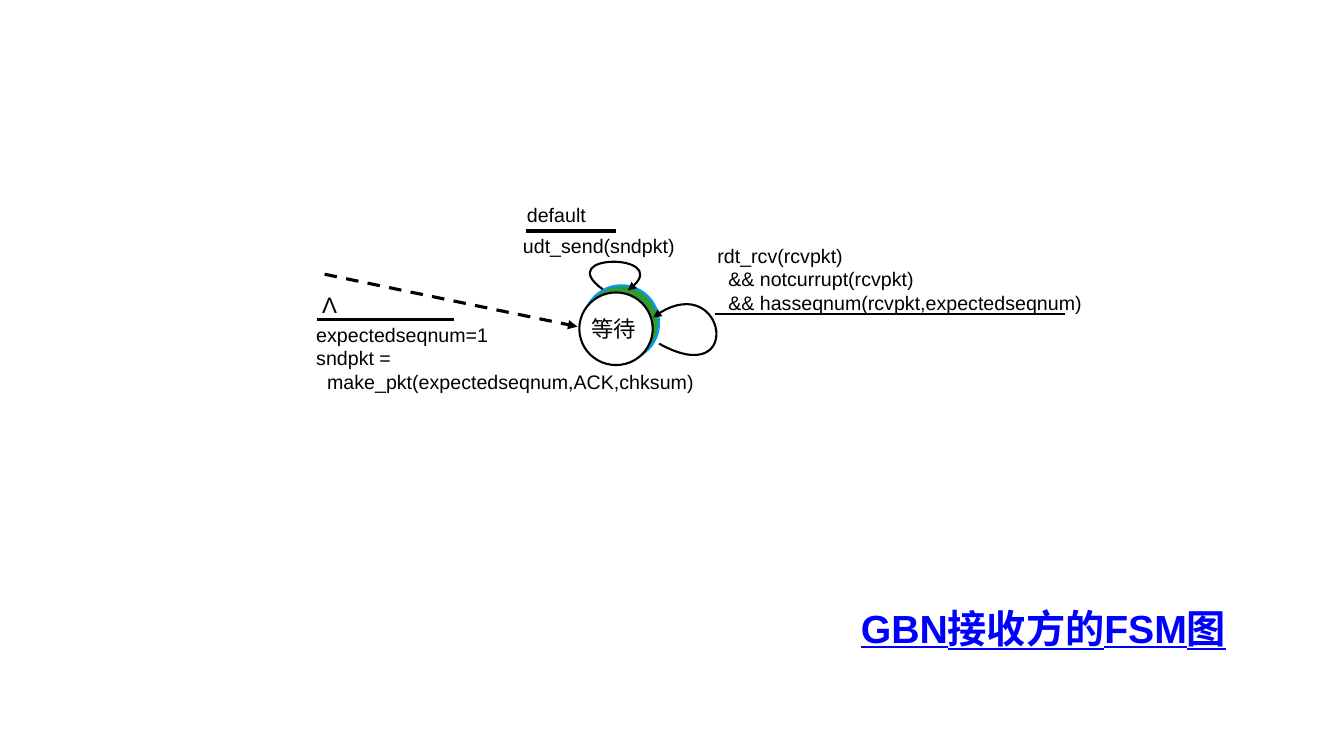
from dataclasses import dataclass

import pptx
import pptx.dml.color
import pptx.enum.dml
import pptx.enum.shapes
import pptx.enum.text
import pptx.oxml
import pptx.oxml.ns
import pptx.util
from pptx.util import Cm

COLORS = {"ink": "000000", "paper": "FFFFFF", "state_back": "339933",
          "state_rim": "0099FF", "title": "0000FF"}
FONT = "Arial"
LEFT = pptx.enum.text.PP_ALIGN.LEFT
CENTER = pptx.enum.text.PP_ALIGN.CENTER


@dataclass
class State:
    left: float
    top: float
    width: float
    height: float
    fill: str
    rim: str


@dataclass
class Label:
    left: float
    top: float
    width: float
    height: float
    lines: list[str]
    size: float = 14
    align: int = LEFT


@dataclass
class Rule:
    start: tuple[float, float]
    end: tuple[float, float]
    weight: float = 2.25
    arrow: bool = False


@dataclass
class Loop:
    """A self-transition: start, two control points and end of a curve."""
    points: list[tuple[float, float]]


# Lengths in centimetres
STATES = [
    State(14.71, 7.19, 1.9, 1.9, "state_back", "state_rim"),
    State(14.6, 7.37, 1.85, 1.83, "paper", "ink"),
]
RULES = [
    Rule((8.18, 6.91), (14.55, 8.23), arrow=True),
    Rule((13.26, 5.82), (15.52, 5.82)),
    Rule((18.03, 7.92), (26.85, 7.92), weight=1.5),
    Rule((8, 8.05), (11.43, 8.05)),
]
LOOPS = [
    Loop([(16.61, 8.66), (18.77, 9.86), (18.26, 6.65), (16.46, 8)]),
    Loop([(15.19, 7.29), (13.92, 6.38), (17.12, 6.38), (15.82, 7.32)]),
]
LABELS = [
    Label(14.35, 7.82, 2.24, 0.66, ["等待"], 16, CENTER),
    Label(12.93, 5.77, 4.5, 0.86, ["udt_send(sndpkt)"]),
    Label(13.03, 5, 2.2, 0.69, ["default"]),
    Label(17.83, 6.02, 9.91, 1.57, ["rdt_rcv(rcvpkt)", "  && notcurrupt(rcvpkt)",
                                    "  && hasseqnum(rcvpkt,expectedseqnum)"]),
    Label(7.72, 8, 10.11, 2.72, ["expectedseqnum=1", "sndpkt =",
                                 "  make_pkt(expectedseqnum,ACK,chksum)"]),
    Label(7.85, 7.21, 0.91, 0.94, ["Λ"], 16, CENTER),
]


def rgb(name: str) -> pptx.dml.color.RGBColor:
    return pptx.dml.color.RGBColor.from_string(COLORS[name])


def style_line(line, color: str, weight: float, arrow: bool = False) -> None:
    line.color.rgb = rgb(color)
    line.width = pptx.util.Pt(weight)
    if arrow:
        head = pptx.oxml.parse_xml(
            f'<a:tailEnd {pptx.oxml.ns.nsdecls("a")} type="triangle"/>')
        line._get_or_add_ln().append(head)


def add_text(paragraph, text: str, size: float, color: str, align: int) -> None:
    paragraph.alignment = align
    run = paragraph.add_run()
    run.text = text
    run.font.name = FONT
    run.font.size = pptx.util.Pt(size)
    run.font.color.rgb = rgb(color)


def draw_state(slide, state: State) -> None:
    circle = slide.shapes.add_shape(
        pptx.enum.shapes.MSO_SHAPE.OVAL, Cm(state.left), Cm(state.top),
        Cm(state.width), Cm(state.height))
    circle.shadow.inherit = False
    circle.fill.solid()
    circle.fill.fore_color.rgb = rgb(state.fill)
    style_line(circle.line, state.rim, 1.5)


def draw_rule(slide, rule: Rule) -> None:
    (x1, y1), (x2, y2) = rule.start, rule.end
    connector = slide.shapes.add_connector(
        pptx.enum.shapes.MSO_CONNECTOR.STRAIGHT, Cm(x1), Cm(y1), Cm(x2), Cm(y2))
    if rule.arrow:
        connector.line.dash_style = pptx.enum.dml.MSO_LINE.DASH
    style_line(connector.line, "ink", rule.weight, rule.arrow)
    connector._element.spPr.append(pptx.oxml.parse_xml(
        f'<a:effectLst {pptx.oxml.ns.nsdecls("a")}/>'))


def draw_loop(slide, loop: Loop) -> None:
    start, *rest = [(Cm(x), Cm(y)) for x, y in loop.points]
    builder = slide.shapes.build_freeform(*start)
    builder.add_line_segments(rest, close=False)
    curve = builder.convert_to_shape()
    curve.shadow.inherit = False
    curve.fill.background()
    style_line(curve.line, "ink", 1.5, arrow=True)
    # Turn the three segments into one cubic curve
    segments = curve._element.xpath(".//a:lnTo")
    bezier = pptx.oxml.parse_xml(
        f'<a:cubicBezTo {pptx.oxml.ns.nsdecls("a")}/>')
    segments[0].addprevious(bezier)
    for segment in segments:
        bezier.append(segment[0])
        segment.getparent().remove(segment)


def draw_label(slide, label: Label) -> None:
    frame = slide.shapes.add_textbox(
        Cm(label.left), Cm(label.top), Cm(label.width), Cm(label.height)).text_frame
    frame.word_wrap = True
    for index, line in enumerate(label.lines):
        paragraph = frame.add_paragraph() if index else frame.paragraphs[0]
        if len(label.lines) > 1:
            paragraph.line_spacing = pptx.util.Pt(16.8)
        add_text(paragraph, line, label.size, "ink", label.align)


def draw_title(slide) -> None:
    title = slide.shapes.title
    title.left, title.top = Cm(21.44), Cm(15.09)
    title.width, title.height = Cm(9.86), Cm(1.45)
    frame = title.text_frame
    frame.word_wrap = True
    frame.auto_size = pptx.enum.text.MSO_AUTO_SIZE.NONE
    frame.vertical_anchor = pptx.enum.text.MSO_ANCHOR.TOP
    heading = frame.paragraphs[0]
    add_text(heading, "GBN接收方的FSM图", 28, "title", LEFT)
    heading.runs[0].font.bold = True
    heading.runs[0].font.underline = True


def main() -> None:
    deck = pptx.Presentation()
    deck.slide_width, deck.slide_height = Cm(33.87), Cm(19.05)
    slide = deck.slides.add_slide(deck.slide_layouts[5])
    draw_title(slide)
    # State circle, transitions, then their events and actions
    for state in STATES:
        draw_state(slide, state)
    for rule in RULES:
        draw_rule(slide, rule)
    for loop in LOOPS:
        draw_loop(slide, loop)
    for label in LABELS:
        draw_label(slide, label)
    deck.save("out.pptx")


if __name__ == "__main__":
    main()
